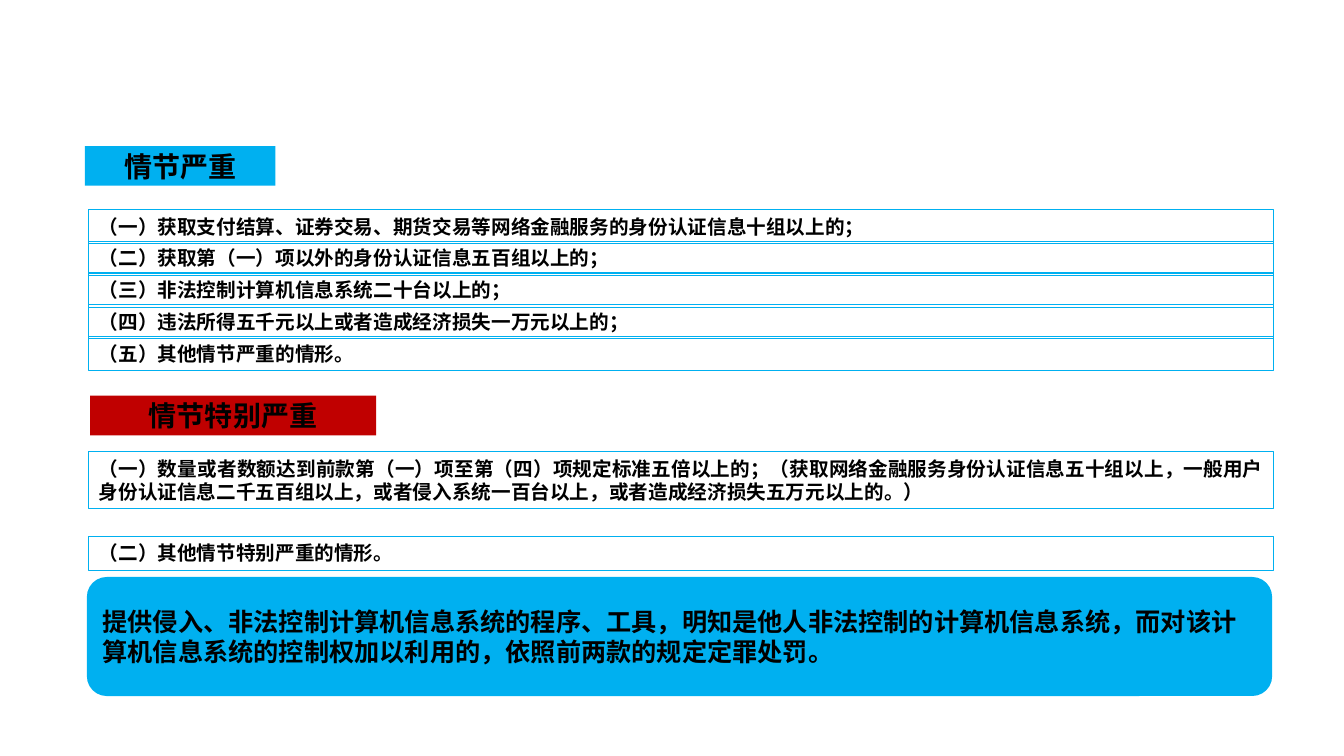
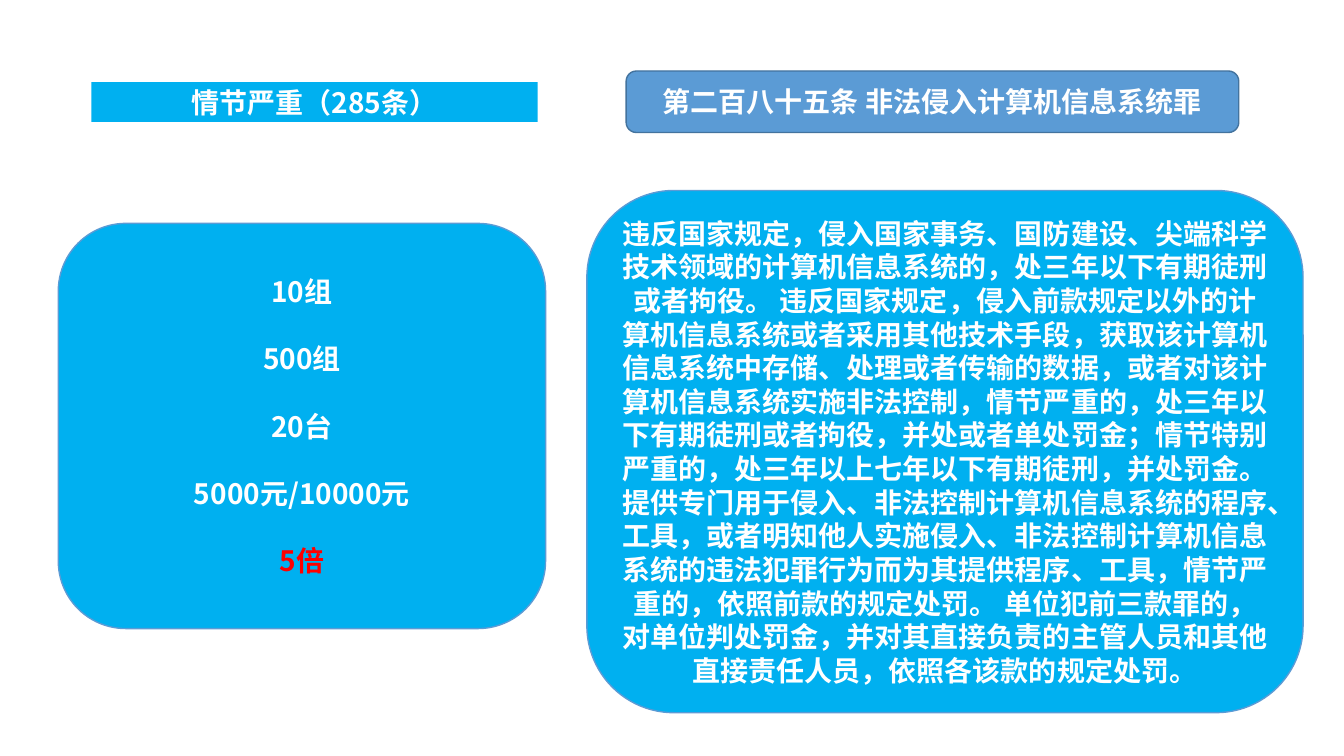
from lxml.etree import SubElement
from pptx import Presentation
from pptx.dml.color import RGBColor
from pptx.enum.shapes import MSO_SHAPE
from pptx.enum.text import MSO_ANCHOR, MSO_AUTO_SIZE, PP_ALIGN
from pptx.oxml.ns import qn
from pptx.util import Cm, Pt

COLORS = {
    "cyan": "00B0F0",
    "red": "C00000",
    "bright_red": "FF0000",
    "blue": "5B9BD5",
    "dark_blue": "43739E",
    "black": "000000",
    "white": "FFFFFF",
}
CHINESE_FONT = "Noto Sans CJK SC"
LATIN_FONT = "Calibri"
LINE_FACTOR = 1.2
TITLE_ONLY = 5

# Boxes are (left, top, width, height) in centimetres.
ROW_LEFT, ROW_WIDTH, ROW_HEIGHT = 2.24, 29.86, 0.86

SERIOUS = {
    "title": "情节严重",
    "box": (2.14, 3.68, 4.8, 1),
    "top": 5.28,
    "step": 0.8,
    "rows": [
        "（一）获取支付结算、证券交易、期货交易等网络金融服务的身份认证信息十组以上的；",
        "（二）获取第（一）项以外的身份认证信息五百组以上的；",
        "（三）非法控制计算机信息系统二十台以上的；",
        "（四）违法所得五千元以上或者造成经济损失一万元以上的；",
        "（五）其他情节严重的情形。",
    ],
}
ESPECIALLY_SERIOUS = {
    "title": "情节特别严重",
    "box": (2.27, 9.97, 7.21, 1),
    "rows": [
        (11.38, 1.44,
         "（一）数量或者数额达到前款第（一）项至第（四）项规定标准五倍以上的；"
         "（获取网络金融服务身份认证信息五十组以上，一般用户身份认证信息二千五百组以上，"
         "或者侵入系统一百台以上，或者造成经济损失五万元以上的。）"),
        (13.51, ROW_HEIGHT, "（二）其他情节特别严重的情形。"),
    ],
}
CONTROL_RULE = {
    "box": (2.19, 14.54, 29.87, 3),
    "text": "提供侵入、非法控制计算机信息系统的程序、工具，明知是他人非法控制的计算机信息系统，"
            "而对该计算机信息系统的控制权加以利用的，依照前两款的规定定罪处罚。",
}
THRESHOLDS = {
    "title": "情节严重（285条）",
    "title_box": (2.3, 2.07, 11.25, 1),
    "box": (1.47, 5.63, 12.28, 10.21),
    "items": [
        ("10组", "white"),
        ("500组", "white"),
        ("20台", "white"),
        ("5000元/10000元", "white"),
        ("5倍", "bright_red"),
    ],
}
ARTICLE = {
    "title": "第二百八十五条 非法侵入计算机信息系统罪",
    "title_box": (15.78, 1.79, 15.44, 1.55),
    "box": (14.79, 4.8, 18.05, 13.16),
    "side_margin": 0.2,
    "text": "违反国家规定，侵入国家事务、国防建设、尖端科学技术领域的计算机信息系统的，"
            "处三年以下有期徒刑或者拘役。 "
            "违反国家规定，侵入前款规定以外的计算机信息系统或者采用其他技术手段，"
            "获取该计算机信息系统中存储、处理或者传输的数据，或者对该计算机信息系统实施非法控制，"
            "情节严重的，处三年以下有期徒刑或者拘役，并处或者单处罚金；"
            "情节特别严重的，处三年以上七年以下有期徒刑，并处罚金。 "
            "提供专门用于侵入、非法控制计算机信息系统的程序、工具，"
            "或者明知他人实施侵入、非法控制计算机信息系统的违法犯罪行为而为其提供程序、工具，"
            "情节严重的，依照前款的规定处罚。 "
            "单位犯前三款罪的，对单位判处罚金，并对其直接负责的主管人员和其他直接责任人员，"
            "依照各该款的规定处罚。",
}


def color(name):
    return RGBColor.from_string(COLORS[name])


def write(shape, items, size, align=PP_ALIGN.CENTER, anchor=MSO_ANCHOR.MIDDLE,
          font=CHINESE_FONT, gap=0):
    """Write (text, colour name) items as bold paragraphs, gap points apart."""
    frame = shape.text_frame
    frame.word_wrap = True
    frame.auto_size = MSO_AUTO_SIZE.NONE
    frame.vertical_anchor = anchor
    for index, (text, color_name) in enumerate(items):
        paragraph = frame.add_paragraph() if index else frame.paragraphs[0]
        paragraph.alignment = align
        paragraph.line_spacing = Pt(size * LINE_FACTOR)
        paragraph.space_before = Pt(gap if index else 0)
        run = paragraph.add_run()
        run.text = text
        run.font.size = Pt(size)
        run.font.bold = True
        run.font.name = font
        run.font.color.rgb = color(color_name)
        east_asian = SubElement(run.font._element, qn("a:ea"))
        east_asian.set("typeface", CHINESE_FONT)


def add_box(slide, kind, box, fill=None, line=None, line_width=1):
    shape = slide.shapes.add_shape(kind, *map(Cm, box))
    shape.shadow.inherit = False
    if fill:
        shape.fill.solid()
        shape.fill.fore_color.rgb = color(fill)
    else:
        shape.fill.background()
    if line:
        shape.line.color.rgb = color(line)
        shape.line.width = Pt(line_width)
    else:
        shape.line.fill.background()
    return shape


def add_titled_slide(presentation, title, box, text_color):
    slide = presentation.slides.add_slide(presentation.slide_layouts[TITLE_ONLY])
    band = slide.shapes.title
    band.left, band.top, band.width, band.height = map(Cm, box)
    band.fill.solid()
    band.fill.fore_color.rgb = color("cyan")
    write(band, [(title, text_color)], 20)
    return slide


def add_row(slide, top, height, text):
    row = add_box(slide, MSO_SHAPE.RECTANGLE, (ROW_LEFT, top, ROW_WIDTH, height),
                  line="cyan", line_width=0.75)
    write(row, [(text, "black")], 14, PP_ALIGN.JUSTIFY, MSO_ANCHOR.TOP)


def build_circumstances(presentation):
    slide = add_titled_slide(presentation, SERIOUS["title"], SERIOUS["box"], "black")
    for index, text in enumerate(SERIOUS["rows"]):
        add_row(slide, SERIOUS["top"] + index * SERIOUS["step"], ROW_HEIGHT, text)

    label = add_box(slide, MSO_SHAPE.RECTANGLE, ESPECIALLY_SERIOUS["box"], "red")
    write(label, [(ESPECIALLY_SERIOUS["title"], "black")], 20)
    for row in ESPECIALLY_SERIOUS["rows"]:
        add_row(slide, *row)

    rule = add_box(slide, MSO_SHAPE.ROUNDED_RECTANGLE, CONTROL_RULE["box"], "cyan")
    write(rule, [(CONTROL_RULE["text"], "black")], 18, PP_ALIGN.LEFT)


def build_article(presentation):
    slide = add_titled_slide(presentation, THRESHOLDS["title"],
                             THRESHOLDS["title_box"], "white")
    rounded = MSO_SHAPE.ROUNDED_RECTANGLE
    thresholds = add_box(slide, rounded, THRESHOLDS["box"], "cyan", "blue")
    write(thresholds, THRESHOLDS["items"], 20, gap=24)

    heading = add_box(slide, rounded, ARTICLE["title_box"], "blue", "dark_blue")
    write(heading, [(ARTICLE["title"], "white")], 20, font=LATIN_FONT)
    body = add_box(slide, rounded, ARTICLE["box"], "cyan", "blue")
    frame = body.text_frame
    frame.margin_left = frame.margin_right = Cm(ARTICLE["side_margin"])
    write(body, [(ARTICLE["text"], "white")], 20, font=LATIN_FONT)


def main():
    presentation = Presentation()
    presentation.slide_width = Cm(33.87)
    presentation.slide_height = Cm(19.05)
    build_circumstances(presentation)
    build_article(presentation)
    presentation.save("out.pptx")


if __name__ == "__main__":
    main()
